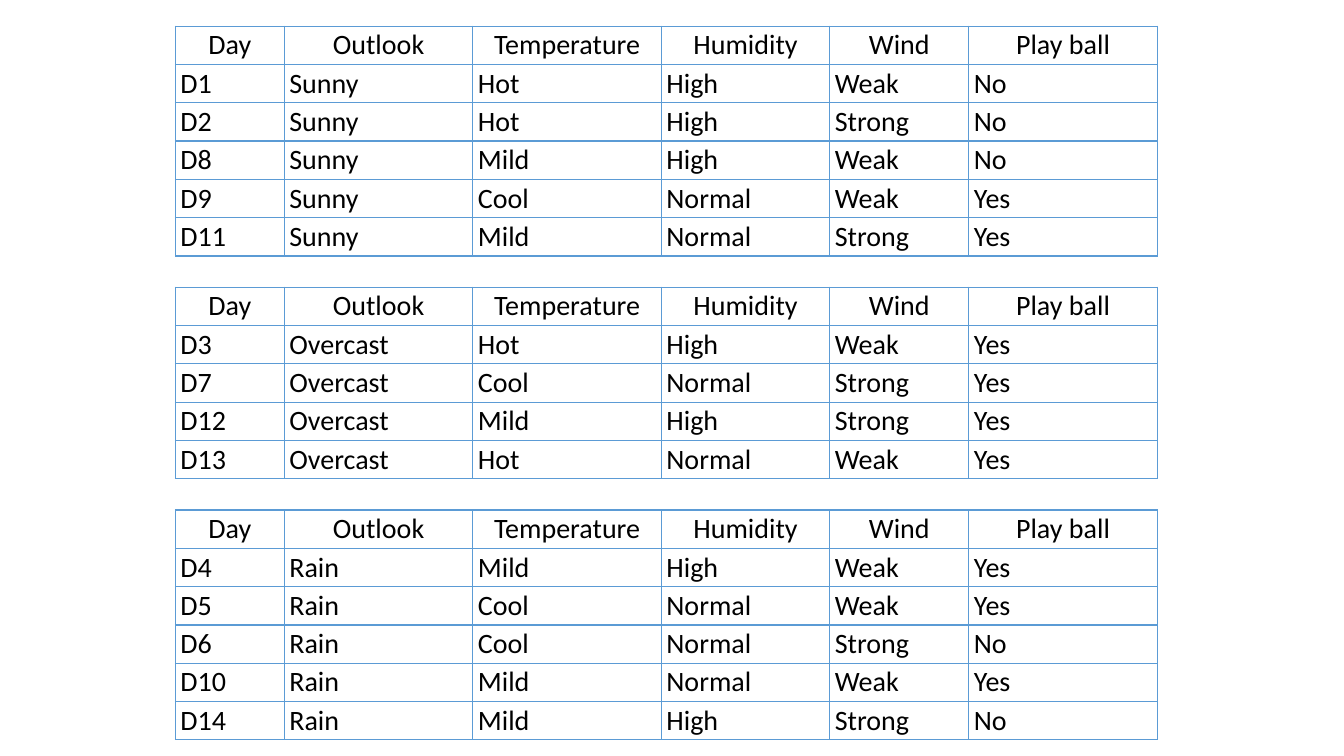
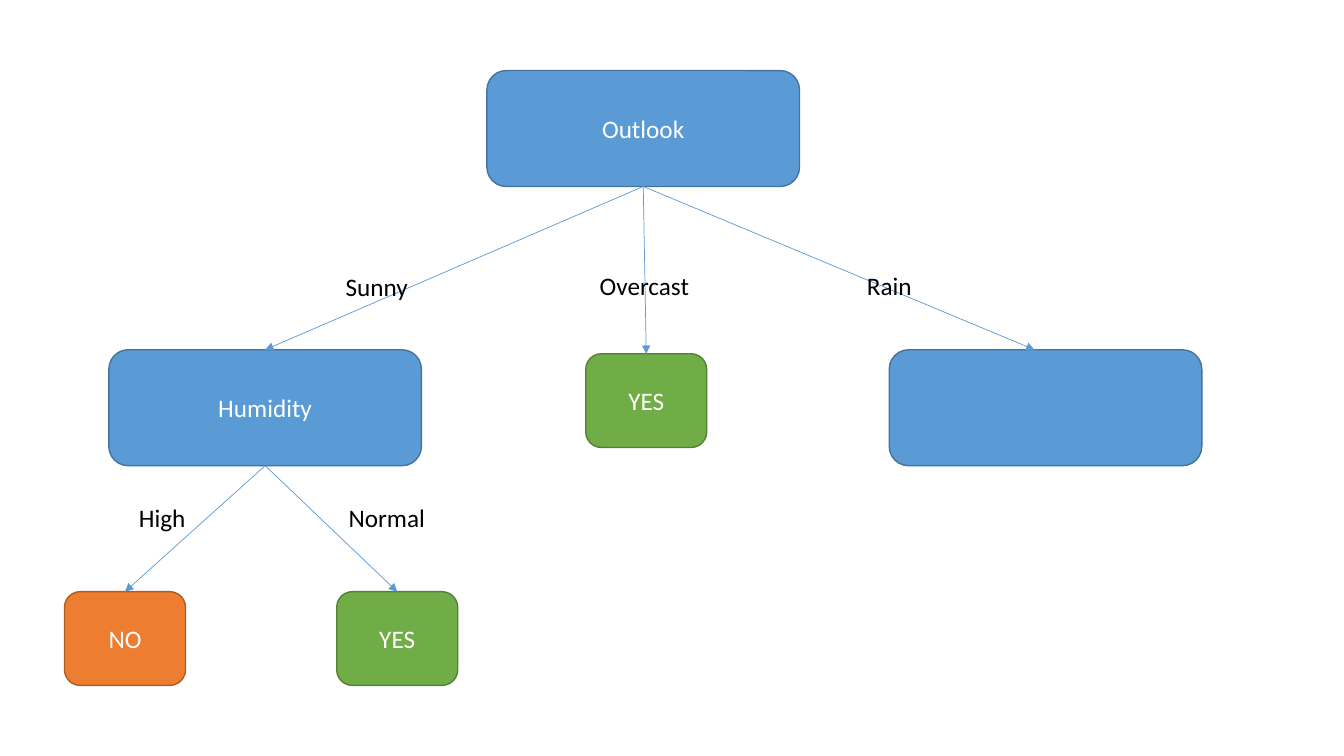
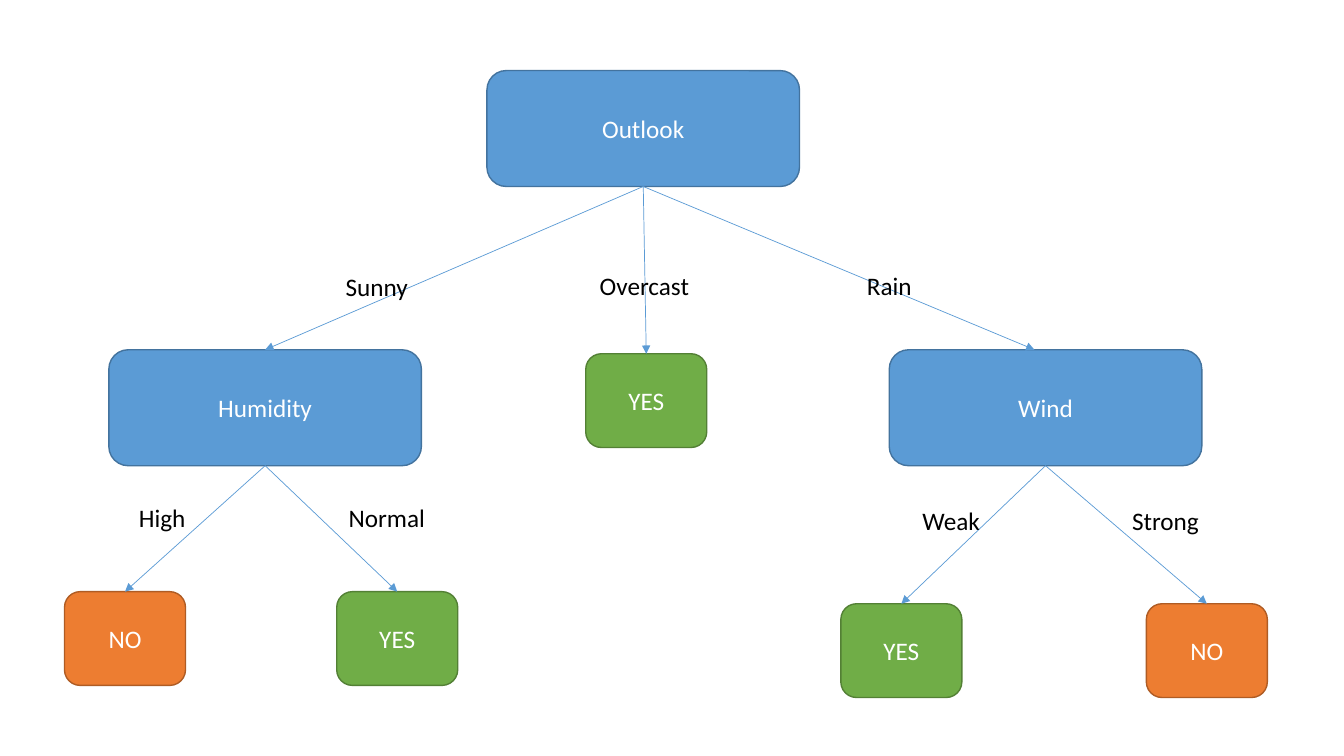
import dataclasses

import pptx
import pptx.dml.color
import pptx.enum.shapes
import pptx.enum.text
import pptx.oxml
import pptx.oxml.ns
import pptx.util

Inches = pptx.util.Inches
Pt = pptx.util.Pt
ALIGN = pptx.enum.text.PP_ALIGN


def rgb(value):
    return pptx.dml.color.RGBColor.from_string(value)


@dataclasses.dataclass(frozen=True)
class Theme:
    font: str = "Calibri"
    text: str = "000000"
    node_text: str = "FFFFFF"
    accent: str = "5B9BD5"
    blue: tuple = ("5B9BD5", "43739E")
    green: tuple = ("70AD47", "538035")
    orange: tuple = ("ED7D31", "AF5C24")
    node_size: float = 18
    table_size: float = 20
    edge: float = 1
    arrow: float = 0.5


THEME = Theme()
TEST_BOX = (3.1, 1.15)
LEAF_BOX = (1.2, 0.93)

HEADER = ("Day", "Outlook", "Temperature", "Humidity", "Wind", "Play ball")
COLUMNS = (1.08, 1.87, 1.87, 1.67, 1.38, 1.87)
ROW_HEIGHT = 0.38
# Top edge, outlook, and the remaining columns of each day
DAY_GROUPS = (
    (0.26, "Sunny", (
        ("D1", "Hot", "High", "Weak", "No"),
        ("D2", "Hot", "High", "Strong", "No"),
        ("D8", "Mild", "High", "Weak", "No"),
        ("D9", "Cool", "Normal", "Weak", "Yes"),
        ("D11", "Mild", "Normal", "Strong", "Yes"),
    )),
    (2.85, "Overcast", (
        ("D3", "Hot", "High", "Weak", "Yes"),
        ("D7", "Cool", "Normal", "Strong", "Yes"),
        ("D12", "Mild", "High", "Strong", "Yes"),
        ("D13", "Hot", "Normal", "Weak", "Yes"),
    )),
    (5.06, "Rain", (
        ("D4", "Mild", "High", "Weak", "Yes"),
        ("D5", "Cool", "Normal", "Weak", "Yes"),
        ("D6", "Cool", "Normal", "Strong", "No"),
        ("D10", "Mild", "Normal", "Weak", "Yes"),
        ("D14", "Mild", "High", "Strong", "No"),
    )),
)


class Deck:
    def __init__(self, theme):
        self.theme = theme
        self.prs = pptx.Presentation()
        self.prs.slide_width = Inches(13.33)
        self.prs.slide_height = Inches(7.5)
        self.slide = None

    def new_slide(self):
        self.slide = self.prs.slides.add_slide(self.prs.slide_layouts[6])

    def set_text(self, tf, text, size, color, align=ALIGN.LEFT):
        p = tf.paragraphs[0]
        p.text = text
        p.alignment = align
        p.font.name = self.theme.font
        p.font.size = Pt(size)
        p.font.color.rgb = rgb(color)

    def node(self, left, top, size, colors, text=""):
        sp = self.slide.shapes.add_shape(
            pptx.enum.shapes.MSO_SHAPE.ROUNDED_RECTANGLE,
            *map(Inches, (left, top, *size)))
        sp.shadow.inherit = False
        fill, line = colors
        sp.fill.solid()
        sp.fill.fore_color.rgb = rgb(fill)
        sp.line.color.rgb = rgb(line)
        sp.line.width = Pt(self.theme.edge)
        if text:
            sp.text_frame.vertical_anchor = pptx.enum.text.MSO_ANCHOR.MIDDLE
            self.set_text(sp.text_frame, text, self.theme.node_size,
                          self.theme.node_text, ALIGN.CENTER)
        return sp

    def test(self, left, top, text=""):
        return self.node(left, top, TEST_BOX, self.theme.blue, text)

    def leaf(self, left, top, answer):
        colors = self.theme.green if answer == "YES" else self.theme.orange
        return self.node(left, top, LEAF_BOX, colors, answer)

    def label(self, left, top, width, text):
        sp = self.slide.shapes.add_textbox(
            *map(Inches, (left, top, width, 0.4)))
        tf = sp.text_frame
        tf.word_wrap = False
        tf.auto_size = pptx.enum.text.MSO_AUTO_SIZE.SHAPE_TO_FIT_TEXT
        self.set_text(tf, text, self.theme.node_size, self.theme.text)

    def arrow(self, parent, child, shift=0):
        """Join parent's bottom to child's top, ending shift inches off centre."""
        cx = self.slide.shapes.add_connector(
            pptx.enum.shapes.MSO_CONNECTOR.STRAIGHT,
            parent.left + parent.width // 2, parent.top + parent.height,
            child.left + child.width // 2 + Inches(shift), child.top)
        cx.begin_connect(parent, 2)
        if not shift:
            cx.end_connect(child, 0)
        cx.line.color.rgb = rgb(self.theme.accent)
        cx.line.width = Pt(self.theme.arrow)
        ns = pptx.oxml.ns.nsdecls("a")
        sp_pr = cx._element.spPr
        sp_pr.find(pptx.oxml.ns.qn("a:ln")).append(
            pptx.oxml.parse_xml(f'<a:tailEnd {ns} type="triangle"/>'))
        sp_pr.append(pptx.oxml.parse_xml(f"<a:effectLst {ns}/>"))

    def borders(self, cell):
        ns = pptx.oxml.ns.nsdecls("a")
        for i, side in enumerate("LRTB"):
            cell._tc.get_or_add_tcPr().insert(i, pptx.oxml.parse_xml(
                f'<a:ln{side} {ns} w="{Pt(self.theme.edge)}"><a:solidFill>'
                f'<a:srgbClr val="{self.theme.accent}"/></a:solidFill></a:ln{side}>'))

    def table(self, left, top, rows):
        table = self.slide.shapes.add_table(
            len(rows), len(COLUMNS), Inches(left), Inches(top),
            Inches(sum(COLUMNS)), Inches(ROW_HEIGHT * len(rows))).table
        table.first_row = table.horz_banding = False
        for column, width in zip(table.columns, COLUMNS):
            column.width = Inches(width)
        for i, row in enumerate(rows):
            for j, text in enumerate(row):
                cell = table.cell(i, j)
                cell.margin_left = cell.margin_right = Inches(0.05)
                cell.margin_top = cell.margin_bottom = Inches(0.02)
                cell.fill.background()
                self.borders(cell)
                self.set_text(cell.text_frame, text, self.theme.table_size,
                              self.theme.text, ALIGN.LEFT if i else ALIGN.CENTER)


def days_slide(deck):
    deck.new_slide()
    for top, outlook, days in DAY_GROUPS:
        rows = [(day, outlook, *rest) for day, *rest in days]
        deck.table(1.74, top, [HEADER, *rows])


def tree_slide(deck, wind_split):
    """Draw the decision tree, with the rain branch open or split by wind."""
    deck.new_slide()
    outlook = deck.test(4.83, 0.7, "Outlook")
    humidity = deck.test(1.08, 3.47, "Humidity")
    rain = deck.test(8.82, 3.47, "Wind" if wind_split else "")
    overcast = deck.leaf(5.81, 3.51, "YES")
    deck.arrow(outlook, humidity)
    deck.arrow(outlook, overcast)
    deck.arrow(outlook, rain, shift=-0.11)

    branches = [(humidity, 0.64, 5.87, "NO"), (humidity, 3.34, 5.87, "YES")]
    labels = [(3.33, 2.64, 0.83, "Sunny"), (5.85, 2.63, 1.1, "Overcast"),
              (8.5, 2.63, 0.65, "Rain"), (1.28, 4.93, 0.67, "High"),
              (3.36, 4.93, 0.97, "Normal")]
    if wind_split:
        branches += [(rain, 8.34, 5.99, "YES"), (rain, 11.37, 5.99, "NO")]
        labels += [(9.05, 4.96, 0.78, "Weak"), (11.13, 4.96, 0.87, "Strong")]
    for parent, left, top, answer in branches:
        deck.arrow(parent, deck.leaf(left, top, answer))
    for label in labels:
        deck.label(*label)


def main():
    deck = Deck(THEME)
    days_slide(deck)
    for wind_split in (False, True):
        tree_slide(deck, wind_split)
    deck.prs.save("out.pptx")


if __name__ == "__main__":
    main()
